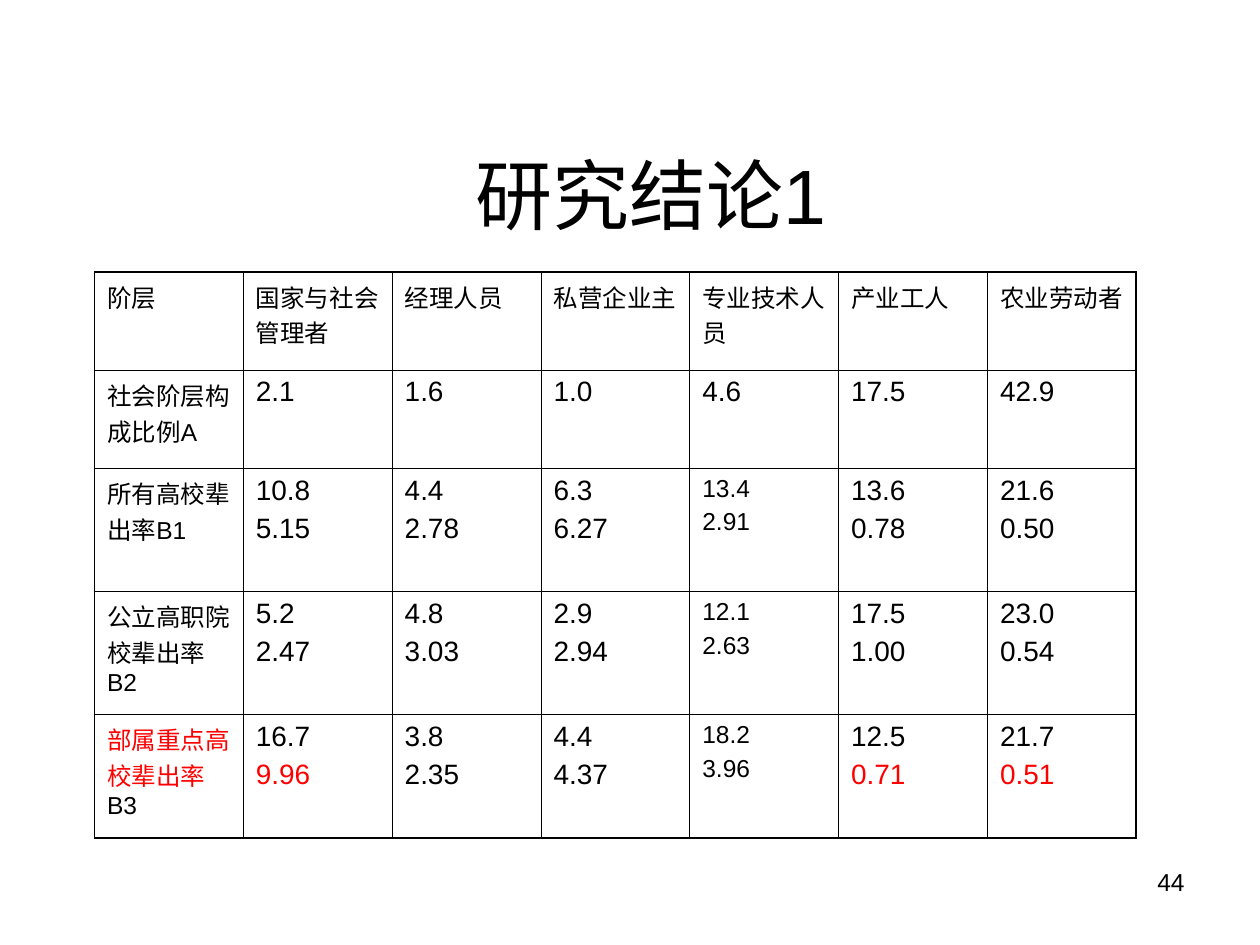
from dataclasses import dataclass
from lxml import etree
from pptx import Presentation
from pptx.dml.color import RGBColor
from pptx.enum.text import MSO_ANCHOR, PP_ALIGN
from pptx.oxml.ns import qn
from pptx.util import Pt

CENTER, RIGHT = PP_ALIGN.CENTER, PP_ALIGN.RIGHT
TOP, MIDDLE = MSO_ANCHOR.TOP, MSO_ANCHOR.MIDDLE

TITLE = "研究结论1"
PAGE_NUMBER = "44"
HEADERS = ["阶层", "国家与社会管理者", "经理人员", "私营企业主",
           "专业技术人员", "产业工人", "农业劳动者"]
ROWS = [
    (["社会阶层构成比例A"],
     [["2.1"], ["1.6"], ["1.0"], ["4.6"], ["17.5"], ["42.9"]]),
    (["所有高校辈出率B1"],
     [["10.8", "5.15"], ["4.4", "2.78"], ["6.3", "6.27"],
      ["13.4", "2.91"], ["13.6", "0.78"], ["21.6", "0.50"]]),
    (["公立高职院校辈出率B2"],
     [["5.2", "2.47"], ["4.8", "3.03"], ["2.9", "2.94"],
      ["12.1", "2.63"], ["17.5", "1.00"], ["23.0", "0.54"]]),
    (["部属重点高校辈出率", "B3"],
     [["16.7", "9.96"], ["3.8", "2.35"], ["4.4", "4.37"],
      ["18.2", "3.96"], ["12.5", "0.71"], ["21.7", "0.51"]]),
]
HIGHLIGHTS = {"部属重点高校辈出率", "9.96", "0.71", "0.51"}
SMALL_COLUMN = HEADERS.index("专业技术人员")

TABLE_LEFT, TABLE_TOP, TABLE_WIDTH = 54, 155.5, 595.4
ROW_HEIGHTS = [56.2, 56.2, 70.3, 70.3, 70.3]


@dataclass(frozen=True)
class Theme:
    font: str = "Arial"
    ink: str = "000000"
    accent: str = "FF0000"
    title: int = 44
    value: int = 16
    small: int = 14
    outer: float = 1.08
    inner: float = 0.45


THEME = Theme()


def write(tf, paragraphs, size, align=None):
    tf.word_wrap = True
    for i, runs in enumerate(paragraphs):
        p = tf.add_paragraph() if i else tf.paragraphs[0]
        if i:
            p.space_before = Pt(size / 4)
        if align is not None:
            p.alignment = align
        for text in runs:
            r = p.add_run()
            r.text = text
            r.font.name = THEME.font
            r.font.size = Pt(size)
            color = THEME.accent if text in HIGHLIGHTS else THEME.ink
            r.font.color.rgb = RGBColor.from_string(color)


def add_text(slide, box, text, size, align, anchor):
    sp = slide.shapes.add_textbox(*map(Pt, box))
    write(sp.text_frame, [[text]], size, align)
    sp.text_frame.vertical_anchor = anchor


def style_cell(cell, outer_sides):
    tcPr = cell._tc.get_or_add_tcPr()
    for side in "LRTB":
        width = THEME.outer if side in outer_sides else THEME.inner
        ln = etree.SubElement(tcPr, qn(f"a:ln{side}"), w=str(int(Pt(width))))
        fill = etree.SubElement(ln, qn("a:solidFill"))
        etree.SubElement(fill, qn("a:srgbClr"), val=THEME.ink)
    cell.fill.background()


def add_results(slide):
    grid = [[([[h]], THEME.small) for h in HEADERS]]
    for i, (label, values) in enumerate(ROWS):
        row = [([label], THEME.small)]
        for c, lines in enumerate(values, 1):
            small = c == SMALL_COLUMN and i > 0
            row.append(([[line] for line in lines],
                        THEME.small if small else THEME.value))
        grid.append(row)

    n_rows, n_cols = len(grid), len(HEADERS)
    table = slide.shapes.add_table(
        n_rows, n_cols, Pt(TABLE_LEFT), Pt(TABLE_TOP),
        Pt(TABLE_WIDTH), Pt(sum(ROW_HEIGHTS))).table
    table.first_row = table.horz_banding = False
    for column in table.columns:
        column.width = Pt(TABLE_WIDTH / n_cols)
    for r, row in enumerate(grid):
        table.rows[r].height = Pt(ROW_HEIGHTS[r])
        for c, (paragraphs, size) in enumerate(row):
            cell = table.cell(r, c)
            edges = {"L": c == 0, "R": c == n_cols - 1,
                     "T": r == 0, "B": r == n_rows - 1}
            style_cell(cell, [side for side, outer in edges.items() if outer])
            write(cell.text_frame, paragraphs, size)


def main():
    prs = Presentation()
    prs.slide_width, prs.slide_height = Pt(720), Pt(540)
    slide = prs.slides.add_slide(prs.slide_layouts[6])
    add_text(slide, (516, 492, 168, 37.5), PAGE_NUMBER, THEME.small, RIGHT, TOP)
    add_text(slide, (48, 65.5, 648, 90), TITLE, THEME.title, CENTER, MIDDLE)
    add_results(slide)
    prs.save("out.pptx")


if __name__ == "__main__":
    main()
